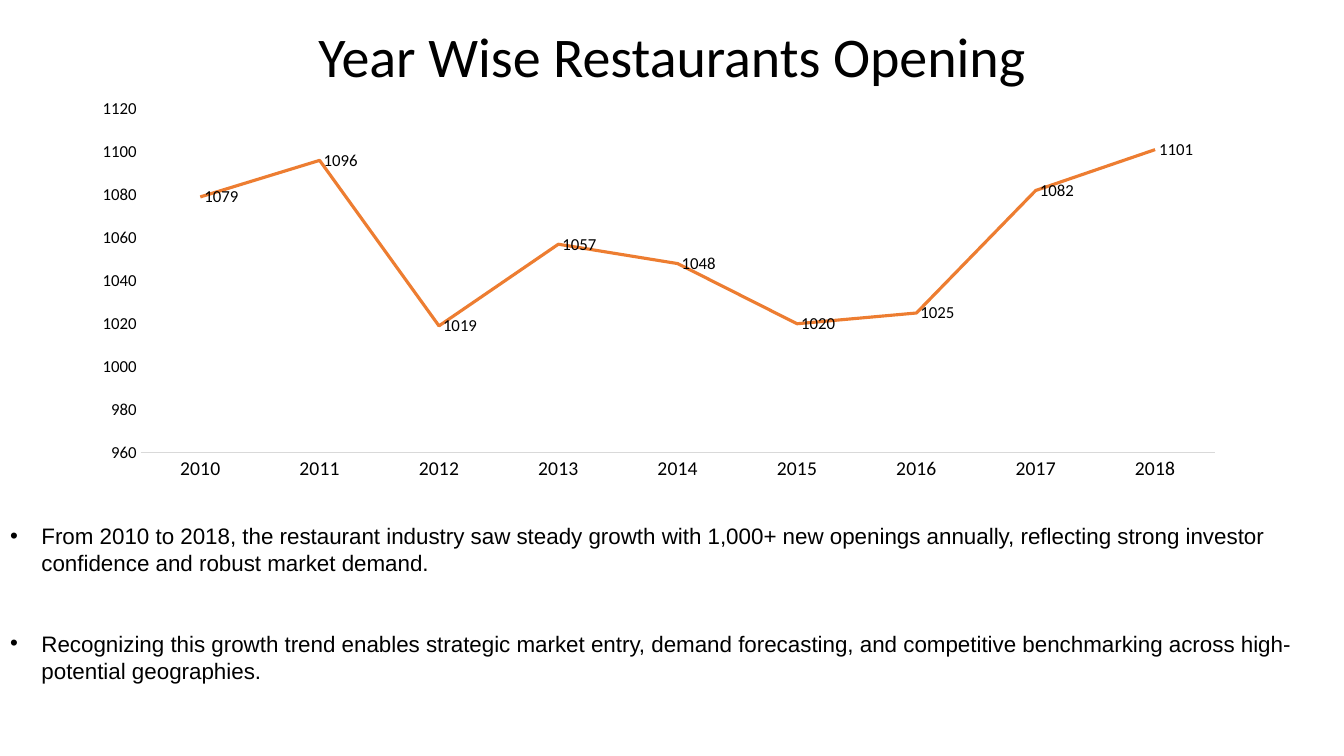
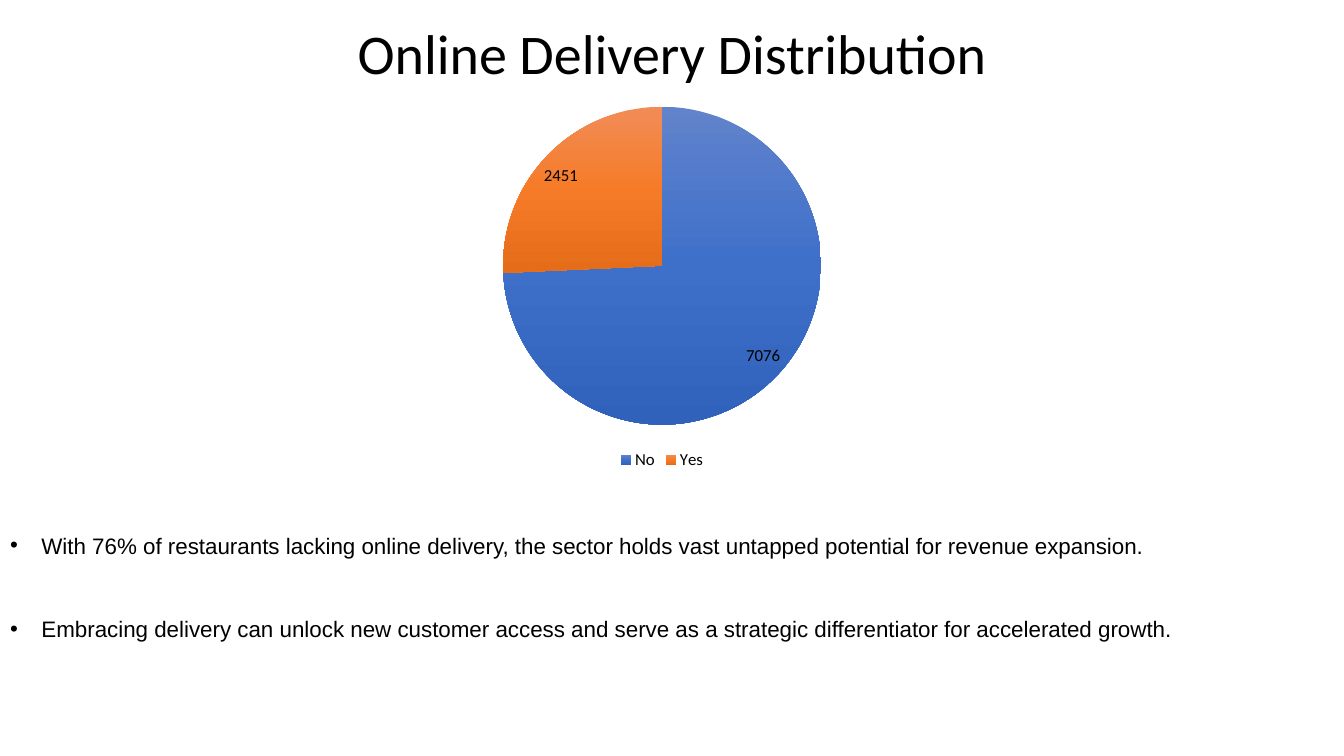
from lxml.etree import SubElement
from pptx import Presentation
from pptx.chart.data import CategoryChartData
from pptx.dml.color import RGBColor
from pptx.enum.chart import (XL_CHART_TYPE, XL_LABEL_POSITION,
                             XL_LEGEND_POSITION, XL_TICK_MARK)
from pptx.enum.text import MSO_ANCHOR, MSO_AUTO_SIZE, PP_ALIGN
from pptx.oxml.ns import qn
from pptx.util import Cm, Pt

INK = {"text": "000000", "line": "ED7D31", "spare": "A5A5A5",
       "axis": "D9D9D9"}
BLEND = {
    "No": ("6183CB", "3E70CA", "3062BB"),
    "Yes": ("F18C57", "F67B28", "E56C19"),
}
HEAD, BODY = "Calibri", "Arial"
WIDE, HIGH = 33.87, 19.05


def style(font, size, name=HEAD):
    font.size = Pt(size)
    font.name = name
    font.color.rgb = RGBColor.from_string(INK["text"])


def place(item, box):
    item.left, item.top, item.width, item.height = map(Cm, box)


# Title across the top
def add_title(slide, text, box):
    title = slide.shapes.title
    place(title, box)
    frame = title.text_frame
    frame.auto_size = MSO_AUTO_SIZE.NONE
    frame.vertical_anchor = MSO_ANCHOR.MIDDLE
    para = frame.paragraphs[0]
    para.alignment = PP_ALIGN.CENTER
    para.line_spacing = 0.9
    run = para.add_run()
    run.text = text
    style(run.font, 40)


# Bulleted notes under the chart
def add_bullet(para):
    props = para._p.get_or_add_pPr()
    props.set("marL", str(Cm(0.79)))
    props.set("indent", str(-Cm(0.79)))
    tint = SubElement(props, qn("a:buClr"))
    SubElement(tint, qn("a:srgbClr"), val=INK["text"])
    SubElement(props, qn("a:buFont"), typeface=BODY)
    SubElement(props, qn("a:buChar"), char="•")


def add_notes(slide, lines, box, gap):
    body = slide.placeholders[1]
    place(body, box)
    frame = body.text_frame
    frame.auto_size = MSO_AUTO_SIZE.NONE
    frame.vertical_anchor = MSO_ANCHOR.TOP
    for i, text in enumerate(lines):
        para = frame.add_paragraph() if i else frame.paragraphs[0]
        add_bullet(para)
        para.line_spacing = 1.0
        para.space_before = Pt(gap if i else 0)
        run = para.add_run()
        run.text = text
        style(run.font, 16, BODY)


# Charts
def add_chart(slide, kind, names, rows, box):
    source = CategoryChartData(number_format="0")
    source.categories = names
    for i, row in enumerate(rows, 1):
        source.add_series(f"Series {i}", row)
    chart = slide.shapes.add_chart(kind, *map(Cm, box), source).chart
    chart.has_title = False
    chart.has_legend = False
    style(chart.font, 10)
    for series in chart.plots[0].series:
        labels = series.data_labels
        labels.show_value = True
        style(labels.font, 12)
    return chart


def add_line(slide, data, box):
    blank = [None] * len(data)
    rows = (list(data.values()), blank, blank)
    chart = add_chart(slide, XL_CHART_TYPE.LINE, list(data), rows, box)
    plot = chart.plots[0]
    plot.vary_by_categories = False
    for series, tint in zip(plot.series, ("line", "line", "spare")):
        series.smooth = False
        series.format.line.width = Pt(2.25)
        series.format.line.color.rgb = RGBColor.from_string(INK[tint])
        series.data_labels.position = XL_LABEL_POSITION.RIGHT

    years, count = chart.category_axis, chart.value_axis
    for axis, size in ((years, 14), (count, 12)):
        axis.has_major_gridlines = False
        axis.major_tick_mark = XL_TICK_MARK.NONE
        axis.minor_tick_mark = XL_TICK_MARK.NONE
        style(axis.tick_labels.font, size)
    years.format.line.width = Pt(0.75)
    years.format.line.color.rgb = RGBColor.from_string(INK["axis"])
    count.format.line.fill.background()
    count.minimum_scale, count.maximum_scale = 960, 1120
    count.major_unit = 20


def blend(point, tints):
    look = point.format
    look.fill.gradient()
    look.fill.gradient_angle = 270
    stops = look._element.find(".//" + qn("a:gsLst"))
    stops.clear()
    for i, tint in enumerate(tints):
        stop = SubElement(stops, qn("a:gs"), pos=str(i * 50000))
        SubElement(stop, qn("a:srgbClr"), val=tint)


def add_pie(slide, data, box):
    rows = (list(data.values()),)
    chart = add_chart(slide, XL_CHART_TYPE.PIE, list(data), rows, box)
    plot = chart.plots[0]
    plot.vary_by_categories = True
    series = plot.series[0]
    series.data_labels.position = XL_LABEL_POSITION.BEST_FIT
    for i, name in enumerate(data):
        blend(series.points[i], BLEND[name])
    chart.has_legend = True
    chart.legend.position = XL_LEGEND_POSITION.BOTTOM
    chart.legend.include_in_layout = False
    style(chart.legend.font, 12)


# One slide: title, chart, notes
def add_slide(deck, title, high, draw, data, box, notes, top, gap):
    slide = deck.slides.add_slide(deck.slide_layouts[1])
    add_title(slide, title, (2.33, 0, 29.21, high))
    draw(slide, data, box)
    add_notes(slide, notes, (0, top, WIDE, 4.6), gap)


def main():
    deck = Presentation()
    deck.slide_width, deck.slide_height = Cm(WIDE), Cm(HIGH)

    opened = (1079, 1096, 1019, 1057, 1048, 1020, 1025, 1082, 1101)
    years = {str(2010 + i): num for i, num in enumerate(opened)}
    add_slide(
        deck, "Year Wise Restaurants Opening", 2.97,
        add_line, years, (2, 2.29, 29.2, 10.03),
        ("From 2010 to 2018, the restaurant industry saw steady growth with "
         "1,000+ new openings annually, reflecting strong investor "
         "confidence and robust market demand.",
         "Recognizing this growth trend enables strategic market entry, "
         "demand forecasting, and competitive benchmarking across "
         "high-potential geographies."),
        13.03, 38.5)

    add_slide(
        deck, "Online Delivery Distribution", 2.84,
        add_pie, {"No": 7076, "Yes": 2451}, (8.66, 2.34, 16.05, 9.6),
        ("With 76% of restaurants lacking online delivery, the sector holds "
         "vast untapped potential for revenue expansion.",
         "Embracing delivery can unlock new customer access and serve as a "
         "strategic differentiator for accelerated growth."),
        13.27, 40.5)

    deck.save("out.pptx")


if __name__ == "__main__":
    main()
